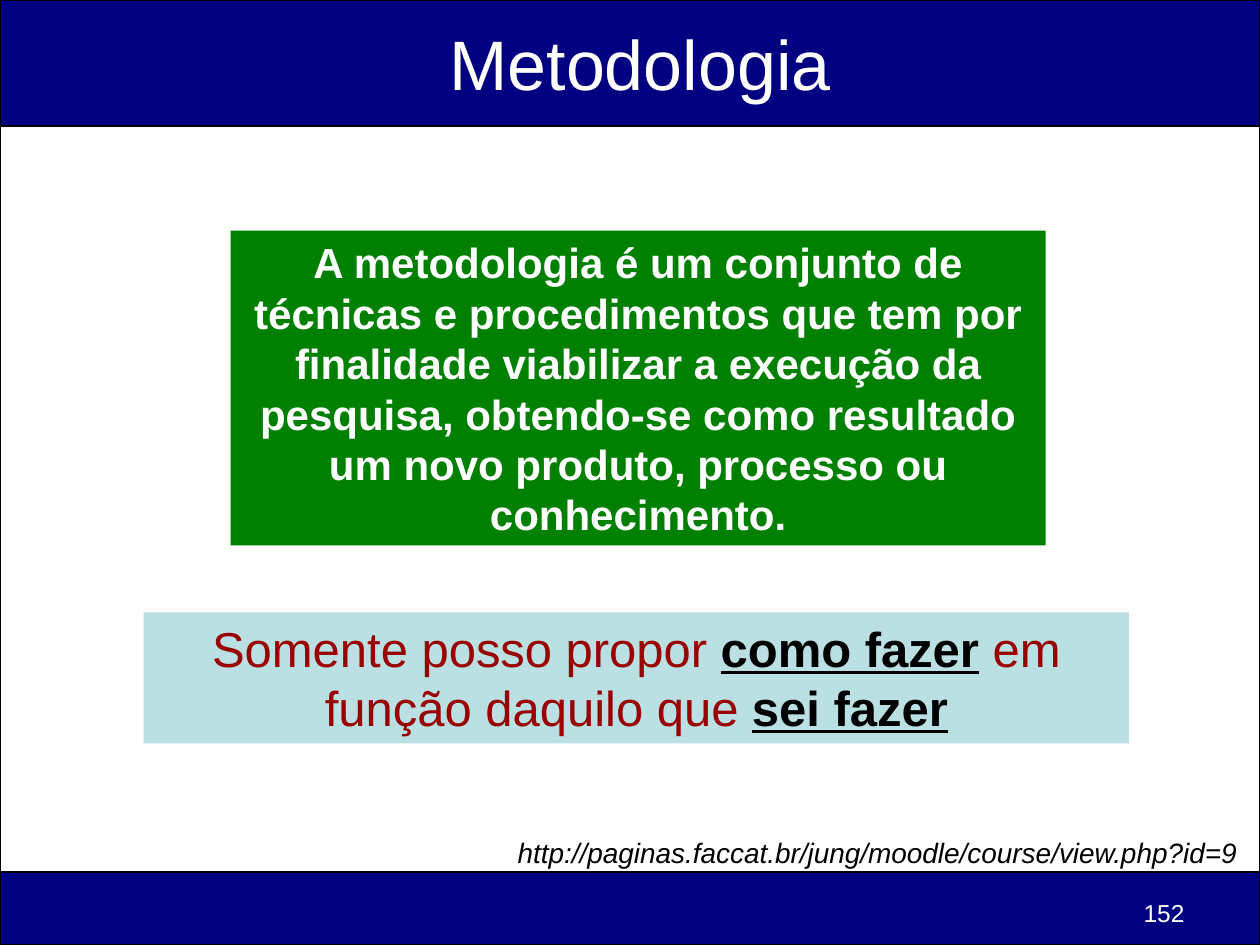
from dataclasses import dataclass
from typing import Optional

from pptx import Presentation
from pptx.dml.color import RGBColor
from pptx.enum.shapes import MSO_SHAPE
from pptx.enum.text import MSO_ANCHOR, PP_ALIGN
from pptx.util import Inches, Pt

WIDTH, HEIGHT = 10, 7.5
HEADER_HEIGHT, FOOTER_TOP = 1, 6.92
NAVY, WHITE, BLACK, RED = "000080", "FFFFFF", "000000", "990000"


@dataclass
class Box:
    """Rectangle in inches with an optional fill and outline."""
    left: float
    top: float
    width: float
    height: float
    fill: Optional[str] = None
    line: Optional[str] = None


@dataclass
class Label:
    """Text of a box; pieces between asterisks are emphasised."""
    box: Box
    text: str
    size: int
    color: str = WHITE
    align: PP_ALIGN = PP_ALIGN.CENTER
    anchor: MSO_ANCHOR = MSO_ANCHOR.TOP
    bold: bool = False
    italic: bool = False
    wrap: bool = True


def rgb(color: str) -> RGBColor:
    return RGBColor.from_string(color)


def draw_box(slide, box: Box):
    place = [Inches(v) for v in (box.left, box.top, box.width, box.height)]
    if box.fill is None:
        return slide.shapes.add_textbox(*place)
    shape = slide.shapes.add_shape(MSO_SHAPE.RECTANGLE, *place)
    shape.shadow.inherit = False
    shape.fill.solid()
    shape.fill.fore_color.rgb = rgb(box.fill)
    if box.line:
        shape.line.color.rgb = rgb(box.line)
        shape.line.width = Pt(1)
    else:
        shape.line.fill.background()
    return shape


def draw_label(slide, label: Label) -> None:
    frame = draw_box(slide, label.box).text_frame
    frame.word_wrap = label.wrap
    frame.vertical_anchor = label.anchor
    paragraph = frame.paragraphs[0]
    paragraph.alignment = label.align
    paragraph.font.name = "Arial"
    paragraph.font.size = Pt(label.size)
    paragraph.font.bold = label.bold
    paragraph.font.italic = label.italic
    paragraph.font.color.rgb = rgb(label.color)
    for index, piece in enumerate(label.text.split("*")):
        if not piece:
            continue
        run = paragraph.add_run()
        run.text = piece
        if index % 2:
            run.font.bold = run.font.underline = True
            run.font.color.rgb = rgb(BLACK)


# Page body, header band and footer band
BANDS = [
    Box(0, HEADER_HEIGHT, WIDTH, FOOTER_TOP - HEADER_HEIGHT, WHITE, BLACK),
    Box(0, 0, WIDTH, HEADER_HEIGHT, NAVY, BLACK),
    Box(0, FOOTER_TOP, WIDTH, HEIGHT - FOOTER_TOP, NAVY, BLACK),
]

LABELS = [
    # Definition
    Label(Box(1.83, 1.83, 6.47, 2.5, "008000"),
          "A metodologia é um conjunto de técnicas e procedimentos que tem por "
          "finalidade viabilizar a execução da pesquisa, obtendo-se como "
          "resultado um novo produto, processo ou conhecimento.",
          24, anchor=MSO_ANCHOR.MIDDLE, bold=True),
    # Key message
    Label(Box(1.14, 4.86, 7.82, 1.04, "BBE0E3"),
          "Somente posso propor *como fazer* em função daquilo que *sei fazer*",
          28, RED),
    # Web address
    Label(Box(4.01, 6.58, 5.92, 0.37),
          "http://paginas.faccat.br/jung/moodle/course/view.php?id=9",
          16, BLACK, PP_ALIGN.LEFT, italic=True, wrap=False),
    # Page number
    Label(Box(7.17, 7.08, 2.33, 0.27), "152", 14, align=PP_ALIGN.RIGHT),
]

TITLE = Label(Box(1.08, 0, 8, HEADER_HEIGHT), "Metodologia", 40,
              anchor=MSO_ANCHOR.MIDDLE)


def main() -> None:
    presentation = Presentation()
    presentation.slide_width = Inches(WIDTH)
    presentation.slide_height = Inches(HEIGHT)
    slide = presentation.slides.add_slide(presentation.slide_layouts[6])
    slide.background.fill.solid()
    slide.background.fill.fore_color.rgb = rgb("E4E5FE")
    for band in BANDS:
        draw_box(slide, band)
    for label in [*LABELS, TITLE]:
        draw_label(slide, label)
    presentation.save("out.pptx")


if __name__ == "__main__":
    main()
